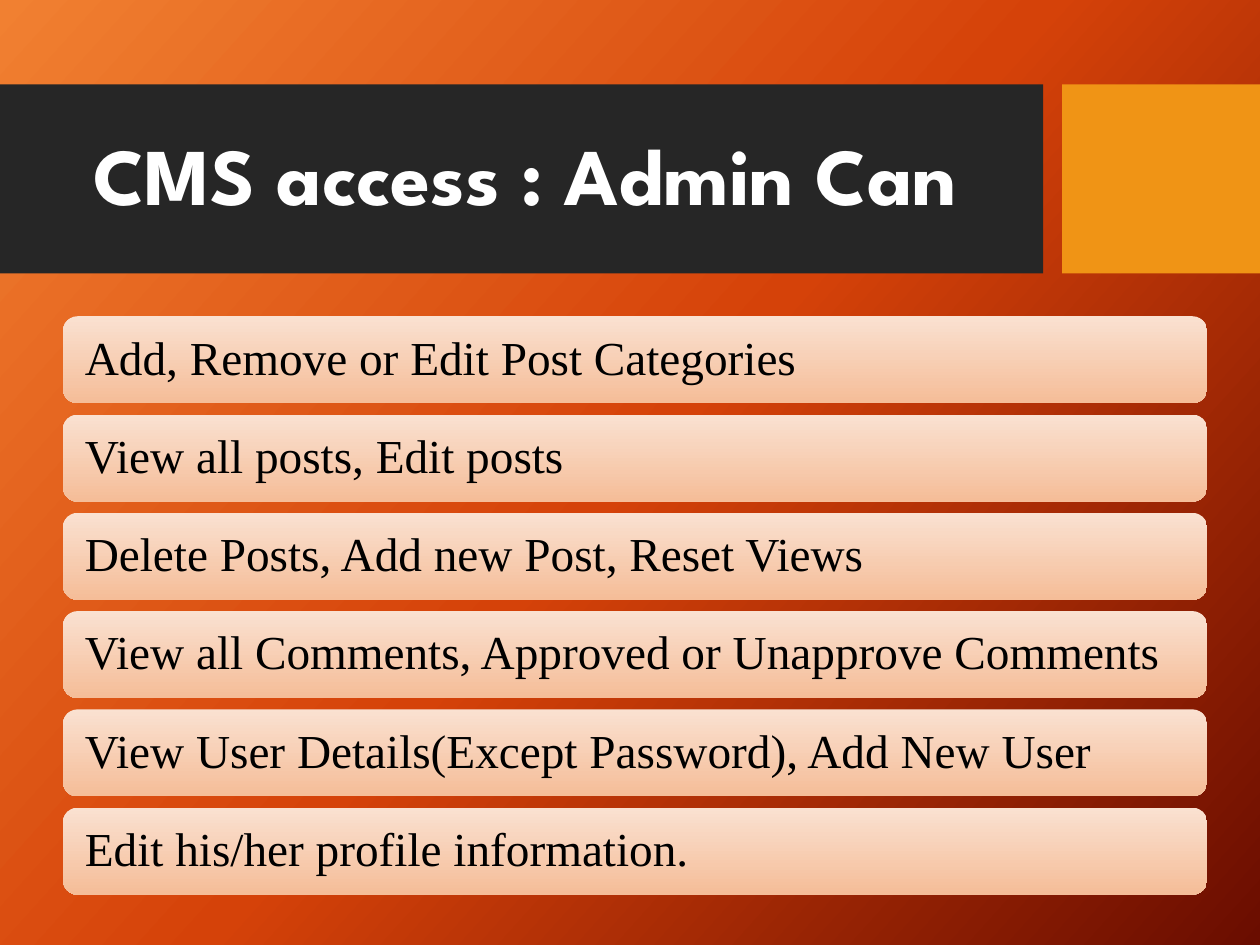
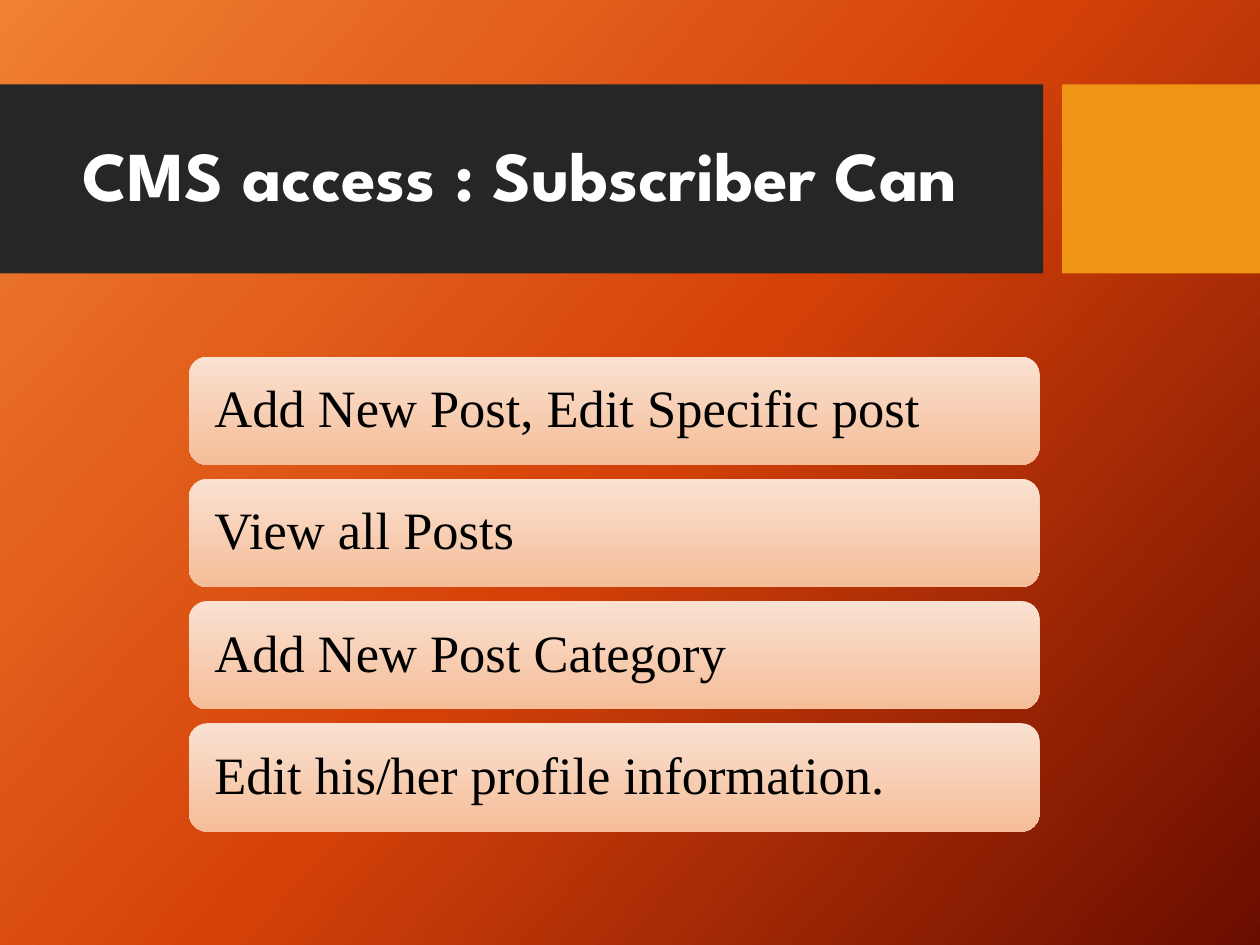
from lxml.etree import SubElement
from pptx import Presentation
from pptx.dml.color import RGBColor
from pptx.enum.shapes import MSO_SHAPE as Preset
from pptx.enum.text import MSO_ANCHOR as Anchor, MSO_AUTO_SIZE as AutoSize, PP_ALIGN as Align
from pptx.oxml.ns import qn
from pptx.util import Inches, Pt

COLORS = {
    "band": "262626",
    "accent": "F09415",
    "title": "FFFFFF",
    "text": "000000",
    "background": ["F18031", "D54209", "6A0D00"],
    "card": ["FAE1D1", "F5BD98"],
}
TITLE_FONT = "League Spartan"
CARD_FONT = "Times New Roman"
BAND_TOP, BAND_HEIGHT = 0.67, 1.5

SLIDES = [
    {
        "title": "CMS access : Admin Can",
        "title_size": 46,
        "title_width": 8.33,
        "cards": [
            "Add, Remove or Edit Post Categories",
            "View all posts, Edit posts",
            "Delete Posts, Add new Post, Reset Views",
            "View all Comments, Approved or Unapprove Comments",
            "View User Details(Except Password), Add New User",
            "Edit his/her profile information.",
        ],
        "layout": {"left": 0.5, "top": 2.51, "width": 9.08, "height": 0.69,
                   "gap": 0.09, "inset": 0.14, "size": 27},
    },
    {
        "title": "CMS access : Subscriber Can",
        "title_size": 40,
        "title_width": 8.25,
        "cards": [
            "Add New Post, Edit Specific post",
            "View all Posts",
            "Add New Post Category",
            "Edit his/her profile information.",
        ],
        "layout": {"left": 1.5, "top": 2.83, "width": 6.75, "height": 0.86,
                   "gap": 0.11, "inset": 0.16, "size": 30},
    },
]


class Deck:
    """Holds the shared style and the slide being built."""

    def __init__(self):
        self.presentation = Presentation()
        self.presentation.slide_width = Inches(10)
        self.presentation.slide_height = Inches(7.5)
        self.slide = None
        master = self.presentation.slide_master
        self.gradient(master.background.fill, master.element, COLORS["background"], 42)

    def gradient(self, fill, element, colors, angle):
        """Fill with evenly spaced colours at a clockwise angle."""
        fill.gradient()
        fill.gradient_angle = 360 - angle
        stops = element.find(".//" + qn("a:gsLst"))
        for stop in list(stops):
            stops.remove(stop)
        for index, color in enumerate(colors):
            position = 100000 * index // (len(colors) - 1)
            stop = SubElement(stops, qn("a:gs"), pos=str(position))
            SubElement(stop, qn("a:srgbClr"), val=color)

    def shape(self, preset, left, top, width, height):
        """Add a preset shape without line or shadow."""
        shape = self.slide.shapes.add_shape(
            preset, Inches(left), Inches(top), Inches(width), Inches(height))
        shape.shadow.inherit = False
        shape.line.fill.background()
        return shape

    def band(self, left, width, color):
        """Add one plain block of the title strip."""
        shape = self.shape(Preset.RECTANGLE, left, BAND_TOP, width, BAND_HEIGHT)
        shape.fill.solid()
        shape.fill.fore_color.rgb = RGBColor.from_string(COLORS[color])

    def label(self, shape, text, font, size, color, align, bold=False):
        """Set one vertically centred paragraph."""
        frame = shape.text_frame
        frame.word_wrap = True
        frame.auto_size = AutoSize.NONE
        frame.vertical_anchor = Anchor.MIDDLE
        paragraph = frame.paragraphs[0]
        paragraph.alignment = align
        paragraph.line_spacing = 0.9
        run = paragraph.add_run()
        run.text = text
        run.font.name = font
        run.font.size = Pt(size)
        run.font.bold = bold
        run.font.color.rgb = RGBColor.from_string(COLORS[color])

    def title(self, text, size, width):
        """Place the title over the strip."""
        title = self.slide.shapes.title
        title.left, title.top = Inches(0), Inches(BAND_TOP)
        title.width, title.height = Inches(width), Inches(BAND_HEIGHT)
        self.label(title, text, TITLE_FONT, size, "title", Align.CENTER, bold=True)
        title.element.getparent().append(title.element)

    def cards(self, texts, left, top, width, height, gap, inset, size):
        """Stack rounded cards with equal gaps."""
        for index, text in enumerate(texts):
            card_top = top + index * (height + gap)
            card = self.shape(Preset.ROUNDED_RECTANGLE, left, card_top, width, height)
            self.gradient(card.fill, card.element, COLORS["card"], 90)
            card.text_frame.margin_left = card.text_frame.margin_right = Inches(inset)
            self.label(card, text, CARD_FONT, size, "text", Align.LEFT)

    def add_slide(self, content):
        """Build one slide from its content."""
        self.slide = self.presentation.slides.add_slide(self.presentation.slide_layouts[5])
        self.band(0, 8.28, "band")
        self.band(8.43, 1.57, "accent")
        self.cards(content["cards"], **content["layout"])
        self.title(content["title"], content["title_size"], content["title_width"])


def main():
    """Build and save the presentation."""
    deck = Deck()
    for content in SLIDES:
        deck.add_slide(content)
    deck.presentation.save("out.pptx")


if __name__ == "__main__":
    main()
